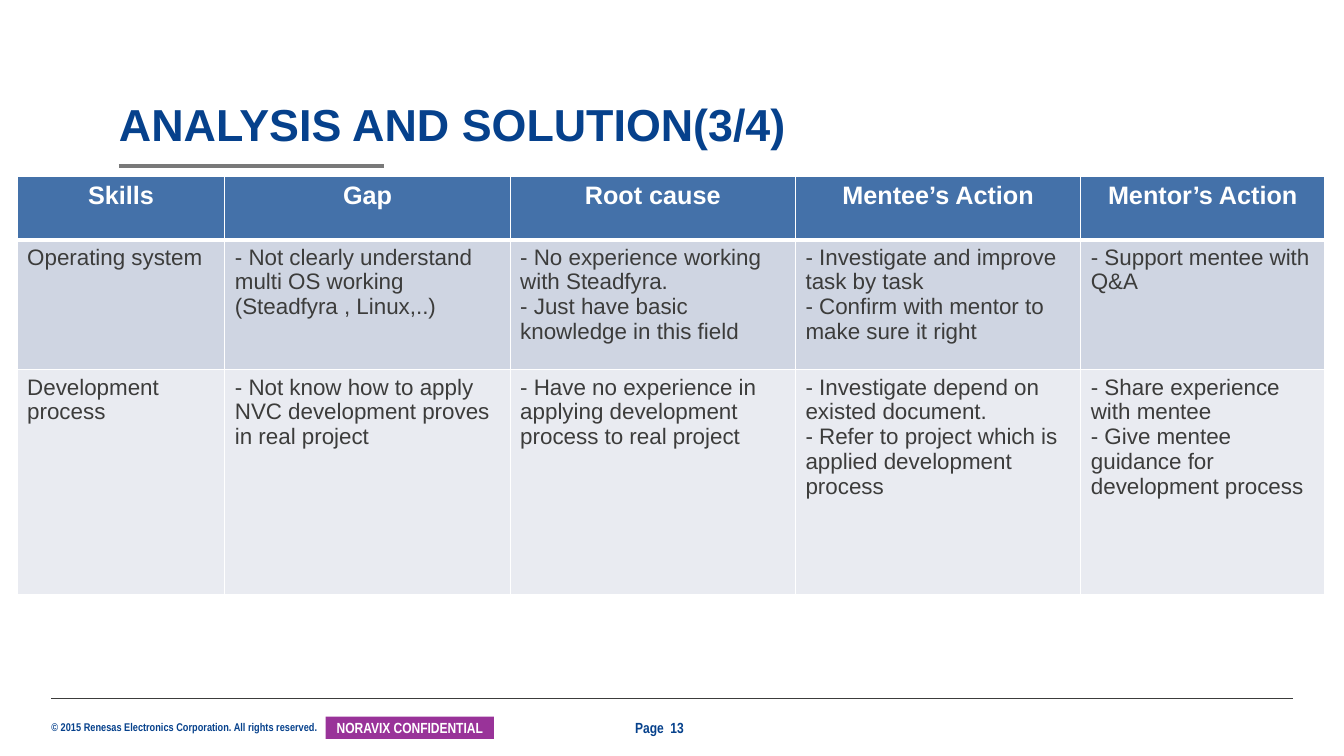
from lxml import etree
from pptx import Presentation
from pptx.dml.color import RGBColor
from pptx.enum.shapes import MSO_CONNECTOR, MSO_SHAPE
from pptx.enum.text import MSO_ANCHOR, MSO_AUTO_SIZE, PP_ALIGN
from pptx.oxml.ns import qn
from pptx.util import Inches, Pt

COLORS = {
    "navy": "06418C", "white": "FFFFFF", "ink": "3C3C3B", "grey": "797979",
    "purple": "993399", "header": "4471A9", "band1": "CFD5E2", "band2": "E9EBF1",
}
COLUMN_WIDTHS = [2.06, 2.83, 2.83, 2.83, 2.42]
ROW_HEIGHTS = [0.63, 1.29, 2.23]
ROW_FILLS = ["header", "band1", "band2"]
SKILL_ROWS = [
    [["Skills"], ["Gap"], ["Root cause"], ["Mentee’s Action"], ["Mentor’s Action"]],
    [
        ["Operating system"],
        ["- Not clearly understand multi OS working (Steadfyra , Linux,..)"],
        ["- No experience working with Steadfyra.",
         "- Just have basic knowledge in this field"],
        ["- Investigate and improve task by task",
         "- Confirm with mentor to make sure it right"],
        ["- Support mentee with Q&A"],
    ],
    [
        ["Development process"],
        ["- Not know how to apply NVC development proves in real project"],
        ["- Have no experience in applying development process to real project"],
        ["- Investigate depend on existed document.",
         "- Refer to project which is applied development process"],
        ["- Share experience with mentee",
         "- Give mentee guidance for development process"],
    ],
]


def rgb(name):
    return RGBColor.from_string(COLORS[name])


def write(tf, lines, size, color, font="Arial", bold=True, align=PP_ALIGN.LEFT):
    """Write one paragraph per line, each as a single formatted run."""
    for i, line in enumerate(lines):
        p = tf.add_paragraph() if i else tf.paragraphs[0]
        p.alignment = align
        r = p.add_run()
        r.text = line
        r.font.name = font
        r.font.size = Pt(size)
        r.font.bold = bold
        r.font.color.rgb = rgb(color)


def set_frame(tf, anchor, side=0, wrap=True):
    """Set the anchor, wrapping and side margins; no top or bottom margin."""
    tf.margin_left = tf.margin_right = Inches(side)
    tf.margin_top = tf.margin_bottom = 0
    tf.vertical_anchor = anchor
    tf.word_wrap = wrap


def add_title(s, title):
    sp = s.shapes.title
    sp.left, sp.top, sp.width, sp.height = map(Inches, (1.18, 1.02, 9.84, 0.48))
    tf = sp.text_frame
    set_frame(tf, MSO_ANCHOR.BOTTOM)
    tf.auto_size = MSO_AUTO_SIZE.SHAPE_TO_FIT_TEXT
    write(tf, [title], 32, "navy")
    tf.paragraphs[0].line_spacing = 0.9


def add_rule(s, left, right, y, color, width):
    line = s.shapes.add_connector(
        MSO_CONNECTOR.STRAIGHT, Inches(left), Inches(y), Inches(right), Inches(y))
    line.line.color.rgb = rgb(color)
    line.line.width = Pt(width)
    etree.SubElement(line._element.spPr, qn("a:effectLst"))


def add_footer_text(s, left, top, width, height, line, size, anchor, wrap):
    box = s.shapes.add_textbox(*map(Inches, (left, top, width, height)))
    tf = box.text_frame
    set_frame(tf, anchor, wrap=wrap)
    tf.auto_size = MSO_AUTO_SIZE.SHAPE_TO_FIT_TEXT
    write(tf, [line], size, "navy", "Arial Narrow")


def add_badge(s, label):
    sp = s.shapes.add_shape(MSO_SHAPE.RECTANGLE, *map(Inches, (3.23, 7.11, 1.67, 0.22)))
    sp.shadow.inherit = False
    sp.fill.solid()
    sp.fill.fore_color.rgb = rgb("purple")
    sp.line.fill.background()
    set_frame(sp.text_frame, MSO_ANCHOR.MIDDLE, side=0.04)
    write(sp.text_frame, [label], 10.5, "white", "Arial Narrow", align=PP_ALIGN.CENTER)


def set_borders(cell, widths):
    """Draw white borders; widths maps each side (L, R, T, B) to points."""
    tc_pr = cell._tc.get_or_add_tcPr()
    for i, (side, width) in enumerate(widths.items()):
        ln = etree.Element(qn(f"a:ln{side}"), w=str(Pt(width)))
        fill = etree.SubElement(ln, qn("a:solidFill"))
        etree.SubElement(fill, qn("a:srgbClr"), val=COLORS["white"])
        tc_pr.insert(i, ln)


def add_skill_table(s):
    frame = s.shapes.add_table(
        len(ROW_HEIGHTS), len(COLUMN_WIDTHS), Inches(0.17), Inches(1.75),
        Inches(sum(COLUMN_WIDTHS)), Inches(sum(ROW_HEIGHTS)))
    table = frame.table
    for column, width in zip(table.columns, COLUMN_WIDTHS):
        column.width = Inches(width)
    for row, height in zip(table.rows, ROW_HEIGHTS):
        row.height = Inches(height)
    for i, row in enumerate(SKILL_ROWS):
        for j, lines in enumerate(row):
            cell = table.cell(i, j)
            cell.fill.solid()
            cell.fill.fore_color.rgb = rgb(ROW_FILLS[i])
            set_borders(cell, {"L": 1, "R": 1, "T": 3 if i == 1 else 1,
                               "B": 3 if i == 0 else 1})
            if i == 0:
                write(cell.text_frame, lines, 18, "white", align=PP_ALIGN.CENTER)
            else:
                write(cell.text_frame, lines, 16, "ink", bold=False)


def main():
    prs = Presentation()
    prs.slide_width, prs.slide_height = Inches(13.33), Inches(7.5)
    s = prs.slides.add_slide(prs.slide_layouts[5])
    add_footer_text(s, 0.51, 7.15, 2.68, 0.13,
                    "© 2015 Renesas Electronics Corporation. All rights reserved.",
                    8, MSO_ANCHOR.TOP, wrap=False)
    add_rule(s, 0.51, 12.82, 6.93, "ink", 0.5)
    add_badge(s, "NORAVIX CONFIDENTIAL")
    add_rule(s, 1.18, 3.81, 1.65, "grey", 3)
    add_title(s, "ANALYSIS AND SOLUTION(3/4)")
    add_footer_text(s, 6.3, 7.13, 0.73, 0.18, "Page  13", 10.5,
                    MSO_ANCHOR.MIDDLE, wrap=True)
    add_skill_table(s)
    prs.save("out.pptx")


if __name__ == "__main__":
    main()
